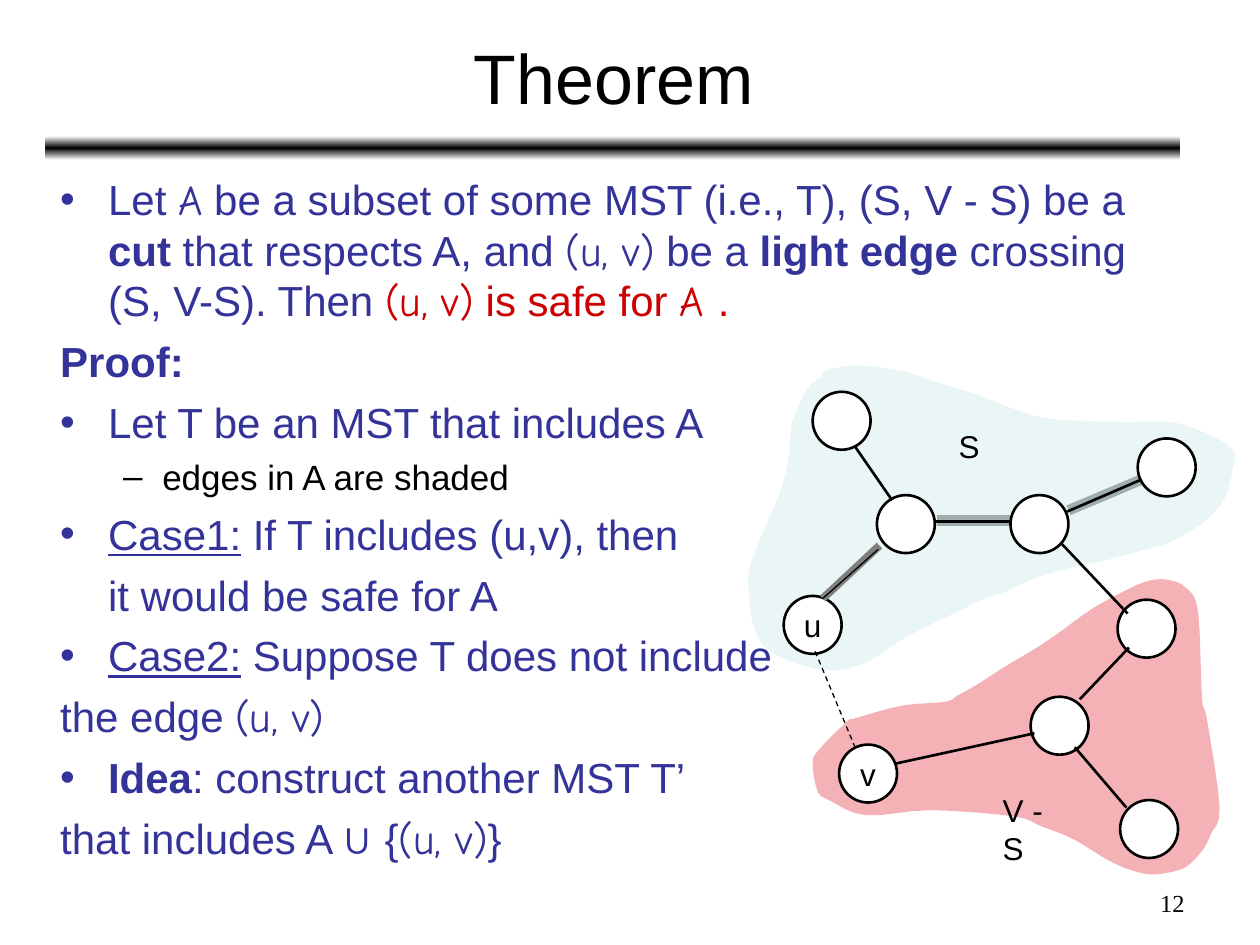
from pptx import Presentation, util as u
from pptx.dml.color import RGBColor
from pptx.enum import dml, shapes, text
from pptx.oxml import parse_xml
from pptx.oxml.ns import qn
from lxml import etree

BLUE, RED, BLACK, WHITE = "333399", "CC0000", "000000", "FFFFFF"
SANS, COMIC = "Arial", "Comic Neue"
NS = "http://schemas.openxmlformats.org/drawingml/2006/main"
UV = ("(u, v)", "c")
BODY = [
    ("dot", ["Let ", ("A", "c"), " be a subset of some MST (i.e., T), (S, V - S) be a ",
             ("cut", "b"), " that respects A, and ", UV, " be a ", ("light edge", "b"),
             " crossing (S, V-S). Then ", ("(u, v)", "cr"), (" is safe for ", "r"),
             ("A ", "cr"), (".", "r")]),
    ("plain", [("Proof:", "b")]),
    ("dot", ["Let T be an MST that includes A"]),
    ("dash", ["edges in A are shaded"]),
    ("dot", [("Case1:", "u"), " If T includes (u,v), then "]),
    ("inset", ["it would be safe for A"]),
    ("dot", [("Case2:", "u"), " Suppose T does not include"]),
    ("plain", ["the edge ", UV]),
    ("dot", [("Idea", "b"), ": construct another MST T’"]),
    ("plain", ["that includes A ∪ {", UV, "}"]),
]
KINDS = {
    "dot": (0.38, -0.38, "•", 24, 6, BLUE),
    "plain": (0.38, -0.38, None, 24, 6, BLUE),
    "inset": (0.38, 0, None, 24, 6, BLUE),
    "dash": (0.81, -0.31, "–", 20, 5, BLACK),
}
LOW = [(7.5, 5.57), (7.16, 5.6), (6.79, 5.7), (6.72, 5.73), (6.5, 5.95), (6.45, 6.06),
       (6.49, 6.28), (6.58, 6.35), (6.87, 6.47), (7.39, 6.43), (8.05, 6.48), (8.27, 6.56),
       (8.52, 6.66), (8.8, 6.83), (8.99, 6.91), (9.15, 6.94), (9.34, 6.91), (9.44, 6.86),
       (9.55, 6.74), (9.61, 6.62), (9.68, 6.41), (9.58, 5.71), (9.54, 5.54), (9.51, 4.86),
       (9.42, 4.67), (9.26, 4.6), (9.08, 4.62), (8.83, 4.74), (8.64, 4.85), (8.42, 5.01),
       (8.23, 5.14), (8.01, 5.27), (7.76, 5.43), (7.6, 5.52)]
HIGH = [(6.52, 2.99), (6.43, 3.06), (6.35, 3.2), (6.28, 3.38), (6.26, 3.64), (6.19, 3.91),
        (6.11, 4.1), (6.01, 4.34), (5.94, 4.58), (5.99, 5), (6.16, 5.2), (6.55, 5.32),
        (6.82, 5.28), (6.96, 5.21), (7.17, 5.07), (7.4, 4.95), (7.61, 4.85), (7.79, 4.76),
        (7.97, 4.7), (8.14, 4.62), (8.37, 4.54), (8.62, 4.48), (8.76, 4.45), (9.06, 4.37),
        (9.27, 4.31), (9.44, 4.22), (9.56, 4.14), (9.67, 4.03), (9.73, 3.93), (9.78, 3.74),
        (9.77, 3.55), (9.35, 3.36), (8.92, 3.35), (8.39, 3.33), (8.18, 3.29), (8.03, 3.24),
        (7.85, 3.17), (7.75, 3.13), (7.42, 3.03), (7.18, 2.95), (6.81, 2.9), (6.56, 2.94)]
NODES = [(6.22, 4.73, "u"), (6.96, 3.93, ""), (8.02, 3.93, ""), (9.03, 3.48, ""),
         (8.87, 4.76, ""), (6.45, 3.11, ""), (8.18, 5.53, ""), (8.89, 6.35, ""),
         (6.66, 5.91, "v")]
SHADE = [(7.44, 4.13, 8.02, 4.13), (8.48, 4.05, 9.05, 3.81)]
EDGES = [(7.42, 4.14, 8.02, 4.14), (6.79, 3.55, 7.08, 3.97), (8.47, 4.06, 9.05, 3.81),
         (8.43, 4.32, 8.95, 4.87), (7.11, 6.06, 8.21, 5.82), (8.57, 5.55, 8.96, 5.14),
         (8.53, 5.93, 8.94, 6.41)]
LABELS = [(7.51, 3.34, 0.36, "S"), (7.86, 6.23, 0.75, "V - S")]

prs = Presentation()
prs.slide_width, prs.slide_height = u.Inches(10), u.Inches(7.5)
slide = prs.slides.add_slide(prs.slide_layouts[5])
tree = slide.shapes


def rgb(code):
    return RGBColor.from_string(code)


def box(*nums):
    return [u.Inches(n) for n in nums]


def style(run, size, color=BLACK, face=SANS):
    run.font.size, run.font.name = u.Pt(size), face
    run.font.color.rgb = rgb(color)


def write(shape, words, size, align, face=SANS, wrap=False):
    frame = shape.text_frame
    frame.word_wrap = wrap
    frame.text = words
    para = frame.paragraphs[0]
    para.alignment = align
    for run in para.runs:
        style(run, size, BLACK, face)


def line(ends, color, width, dash=False):
    edge = tree.add_connector(shapes.MSO_CONNECTOR.STRAIGHT, *box(*ends))
    edge.line.color.rgb, edge.line.width = rgb(color), u.Pt(width)
    if dash:
        edge.line.dash_style = dml.MSO_LINE.DASH
    etree.SubElement(edge._element.spPr, qn("a:effectLst"))


def curve(pts, steps=4):
    for i, b in enumerate(pts):
        a, c, d = pts[i - 1], pts[(i + 1) % len(pts)], pts[(i + 2) % len(pts)]
        for t in (k / steps for k in range(steps)):
            yield box(*((2 * q + (r - p) * t + (2 * p - 5 * q + 4 * r - s) * t ** 2
                         + (3 * q - p - 3 * r + s) * t ** 3) / 2
                        for p, q, r, s in zip(a, b, c, d)))


def blob(pts, color):
    first, *rest = curve(pts)
    path = tree.build_freeform(*first)
    path.add_line_segments(rest, close=True)
    shape = path.convert_to_shape()
    shape.shadow.inherit = False
    shape.line.fill.background()
    shape.fill.solid()
    shape.fill.fore_color.rgb = rgb(color)
    tone = shape._element.spPr.find(".//" + qn("a:srgbClr"))
    etree.SubElement(tone, qn("a:alpha"), val="30000")


bar = tree.add_shape(shapes.MSO_SHAPE.ROUNDED_RECTANGLE, *box(0.36, 1.08, 9.01, 0.19))
bar.shadow.inherit = False
bar.line.fill.background()
stops = "".join(f'<a:gs pos="{p}000"><a:srgbClr val="{c}"/></a:gs>'
                for p, c in ((0, WHITE), (50, BLACK), (100, WHITE)))
bar._element.spPr.find(qn("a:prstGeom")).addnext(parse_xml(
    f'<a:gradFill xmlns:a="{NS}"><a:gsLst>{stops}</a:gsLst><a:lin ang="5400000" scaled="0"/></a:gradFill>'))

title = tree.title
title.left, title.top, title.width, title.height = box(0.37, 0.11, 9, 0.99)
title.text_frame.vertical_anchor = text.MSO_ANCHOR.MIDDLE
write(title, "Theorem", 40, text.PP_ALIGN.CENTER, wrap=True)

frame = tree.add_textbox(*box(0.38, 1.33, 9.03, 5.55)).text_frame
frame.word_wrap = True
for i, (kind, parts) in enumerate(BODY):
    para = frame.add_paragraph() if i else frame.paragraphs[0]
    left, hang, mark, size, gap, color = KINDS[kind]
    para.space_before = u.Pt(gap)
    props = para._p.get_or_add_pPr()
    props.set("marL", str(u.Inches(left)))
    props.set("indent", str(u.Inches(hang)))
    if mark:
        tint = etree.SubElement(props, qn("a:buClr"))
        etree.SubElement(tint, qn("a:srgbClr"), val=color)
        etree.SubElement(props, qn("a:buFont"), typeface=SANS)
        etree.SubElement(props, qn("a:buChar"), char=mark)
    else:
        etree.SubElement(props, qn("a:buNone"))
    for part in parts:
        words, flags = (part, "") if isinstance(part, str) else part
        run = para.add_run()
        run.text = words
        style(run, size, RED if "r" in flags else color, COMIC if "c" in flags else SANS)
        run.font.bold, run.font.underline = "b" in flags, "u" in flags

blob(LOW, "DD0111")
for ends in SHADE:
    line(ends, "969696", 6)
blob(HIGH, "BBE0E3")
for x, y, name in NODES:
    node = tree.add_shape(shapes.MSO_SHAPE.OVAL, *box(x, y, 0.46, 0.46))
    node.shadow.inherit = False
    node.fill.solid()
    node.fill.fore_color.rgb = rgb(WHITE)
    node.line.color.rgb, node.line.width = rgb(BLACK), u.Pt(1.5)
    if name:
        write(node, name, 18, text.PP_ALIGN.CENTER)
for ends in EDGES:
    line(ends, BLACK, 1.5)
for x, y, wide, words in LABELS:
    label = tree.add_textbox(*box(x, y, wide, 0.4))
    write(label, words, 18, text.PP_ALIGN.LEFT)
    label.text_frame.auto_size = text.MSO_AUTO_SIZE.SHAPE_TO_FIT_TEXT
line((6.47, 5.17, 6.79, 5.94), BLACK, 0.75, True)
line((6.98, 4.33, 6.53, 4.75), "808080", 4.5)
line((6.53, 4.75, 6.97, 4.36), BLACK, 0.75)
write(tree.add_textbox(*box(7.17, 7, 2.33, 0.35)), "12", 14,
      text.PP_ALIGN.RIGHT, "Times New Roman", True)

prs.save("out.pptx")
